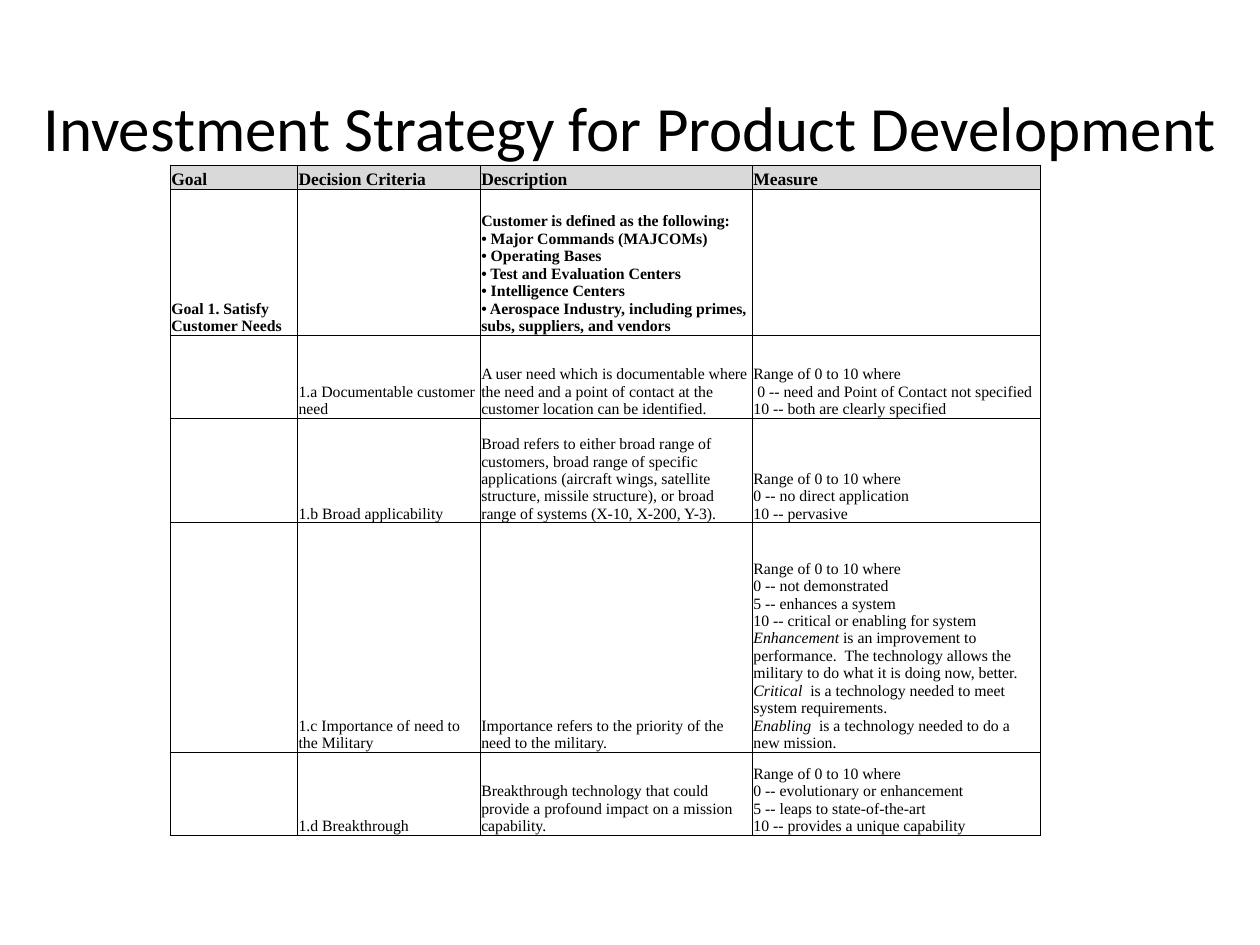
from copy import deepcopy
from dataclasses import dataclass

from lxml.etree import SubElement
from pptx import Presentation
from pptx.dml.color import RGBColor
from pptx.enum.text import MSO_ANCHOR, PP_ALIGN
from pptx.oxml.ns import qn
from pptx.util import Inches, Pt


@dataclass(frozen=True)
class Theme:
    text: str = "000000"
    header_fill: str = "D9D9D9"
    border: str = "000000"
    border_width: float = 0.5
    title_font: str = "Calibri"
    table_font: str = "Times New Roman"
    title_size: int = 36
    header_size: int = 10
    body_size: int = 9


@dataclass(frozen=True)
class Row:
    height: float
    cells: tuple[str, str, str, str]
    bold: bool = False
    header: bool = False


THEME = Theme()
COLUMN_WIDTHS = (1.01, 1.45, 2.16, 2.29)
# Text between asterisks is italic.
ROWS = (
    Row(0.19, ("Goal", "Decision Criteria", "Description", "Measure"),
        bold=True, header=True),
    Row(1.16, (
        "Goal 1. Satisfy Customer Needs",
        "",
        "Customer is defined as the following:\n"
        "• Major Commands (MAJCOMs)\n"
        "• Operating Bases\n"
        "• Test and Evaluation Centers\n"
        "• Intelligence Centers\n"
        "• Aerospace Industry, including primes, subs, suppliers, and vendors",
        "",
    ), bold=True),
    Row(0.66, (
        "",
        "1.a Documentable customer need",
        "A user need which is documentable where the need and a point of "
        "contact at the customer location can be identified.",
        "Range of 0 to 10 where\n"
        " 0 -- need and Point of Contact not specified\n"
        "10 -- both are clearly specified",
    )),
    Row(0.83, (
        "",
        "1.b Broad applicability",
        "Broad refers to either broad range of customers, broad range of "
        "specific applications (aircraft wings, satellite structure, missile "
        "structure), or broad range of systems (X-10, X-200, Y-3).",
        "Range of 0 to 10 where\n0 -- no direct application\n10 -- pervasive",
    )),
    Row(1.82, (
        "",
        "1.c Importance of need to the Military",
        "Importance refers to the priority of the need to the military.",
        "Range of 0 to 10 where\n"
        "0 -- not demonstrated\n"
        "5 -- enhances a system\n"
        "10 -- critical or enabling for system\n"
        "*Enhancement* is an improvement to performance.  The technology "
        "allows the military to do what it is doing now, better.\n"
        "*Critical*  is a technology needed to meet system requirements.\n"
        "*Enabling*  is a technology needed to do a new mission.",
    )),
    Row(0.66, (
        "",
        "1.d Breakthrough",
        "Breakthrough technology that could provide a profound impact on a "
        "mission capability.",
        "Range of 0 to 10 where\n"
        "0 -- evolutionary or enhancement\n"
        "5 -- leaps to state-of-the-art\n"
        "10 -- provides a unique capability",
    )),
)


def format_run(r, font: str, size: int, bold: bool = False) -> None:
    r.font.name = font
    r.font.size = Pt(size)
    r.font.bold = bold
    r.font.color.rgb = RGBColor.from_string(THEME.text)


def write_cell_text(p, text: str, row: Row) -> None:
    """Write text with line breaks, and italics between asterisks."""
    size = THEME.header_size if row.header else THEME.body_size
    for i, part in enumerate(text.split("*")):
        for j, line in enumerate(part.split("\n")):
            if j:
                p.add_line_break()
            if line:
                r = p.add_run()
                r.text = line
                format_run(r, THEME.table_font, size, row.bold)
                r.font.italic = i % 2 == 1
    # Breaks take the text format so that they do not raise the line height.
    for br in p._p.findall(qn("a:br")):
        br.append(deepcopy(p.runs[0]._r.rPr))


def draw_borders(cell) -> None:
    tcPr = cell._tc.get_or_add_tcPr()
    for i, side in enumerate(("lnL", "lnR", "lnT", "lnB")):
        ln = SubElement(tcPr, qn(f"a:{side}"), w=str(Pt(THEME.border_width)))
        fill = SubElement(ln, qn("a:solidFill"))
        SubElement(fill, qn("a:srgbClr"), val=THEME.border)
        tcPr.insert(i, ln)


def fill_cell(cell, text: str, row: Row) -> None:
    cell.vertical_anchor = MSO_ANCHOR.BOTTOM
    cell.margin_left = cell.margin_right = cell.margin_top = Inches(0.01)
    cell.margin_bottom = 0
    if row.header:
        cell.fill.solid()
        cell.fill.fore_color.rgb = RGBColor.from_string(THEME.header_fill)
    else:
        cell.fill.background()
    draw_borders(cell)
    write_cell_text(cell.text_frame.paragraphs[0], text, row)


def add_criteria_table(slide) -> None:
    table = slide.shapes.add_table(
        len(ROWS), len(COLUMN_WIDTHS), Inches(1.35), Inches(1.31),
        Inches(sum(COLUMN_WIDTHS)), Inches(sum(row.height for row in ROWS)),
    ).table
    table.first_row = table.horz_banding = False
    for column, width in zip(table.columns, COLUMN_WIDTHS):
        column.width = Inches(width)
    for i, row in enumerate(ROWS):
        table.rows[i].height = Inches(row.height)
        for j, text in enumerate(row.cells):
            fill_cell(table.cell(i, j), text, row)


def set_title(slide, text: str) -> None:
    sp = slide.shapes.title
    sp.left, sp.top = Inches(0), Inches(0.38)
    sp.width, sp.height = Inches(10), Inches(1.25)
    tf = sp.text_frame
    tf.text = text
    tf.word_wrap = True
    tf.vertical_anchor = MSO_ANCHOR.MIDDLE
    p = tf.paragraphs[0]
    p.alignment = PP_ALIGN.CENTER
    format_run(p.runs[0], THEME.title_font, THEME.title_size)
    # The title lies in front of the table it overlaps.
    slide.shapes._spTree.append(sp._element)


def main() -> None:
    prs = Presentation()
    prs.slide_width, prs.slide_height = Inches(10), Inches(7.5)
    slide = prs.slides.add_slide(prs.slide_layouts[5])
    add_criteria_table(slide)
    set_title(slide, "Investment Strategy for Product Development")
    prs.save("out.pptx")


if __name__ == "__main__":
    main()
